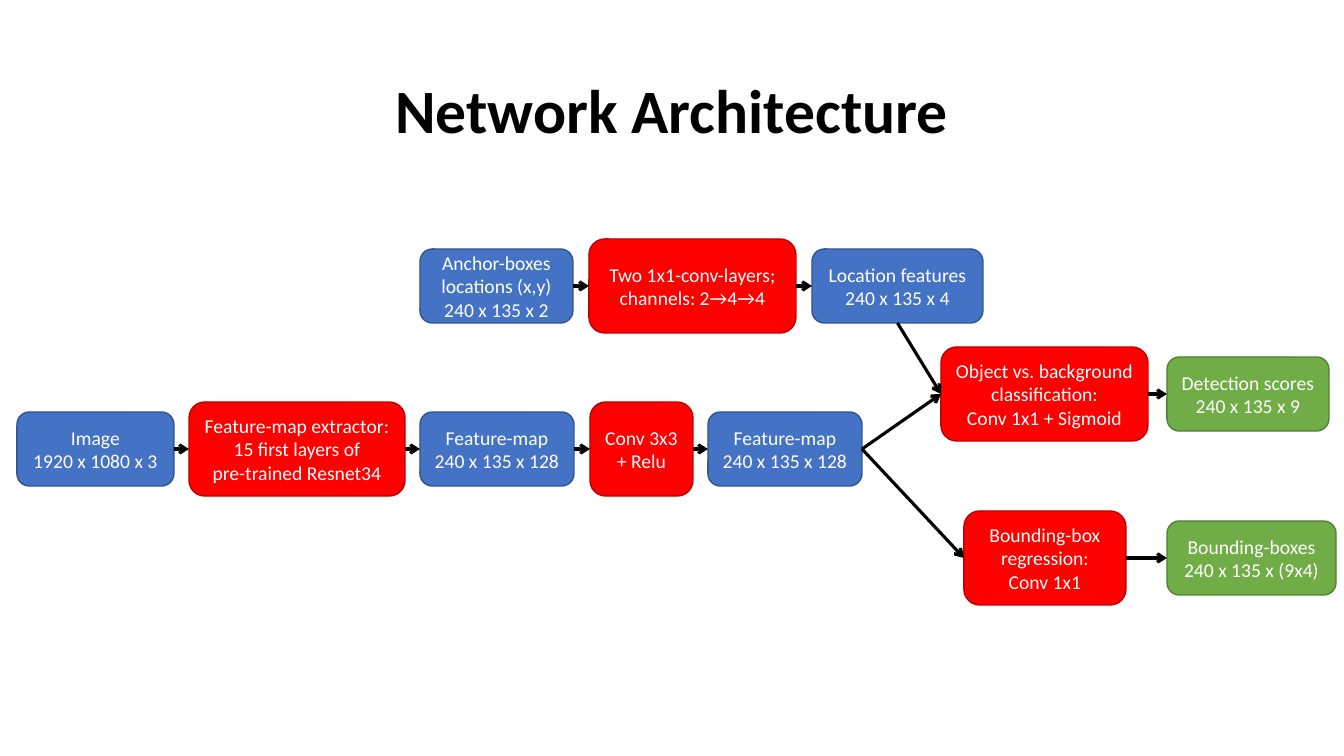
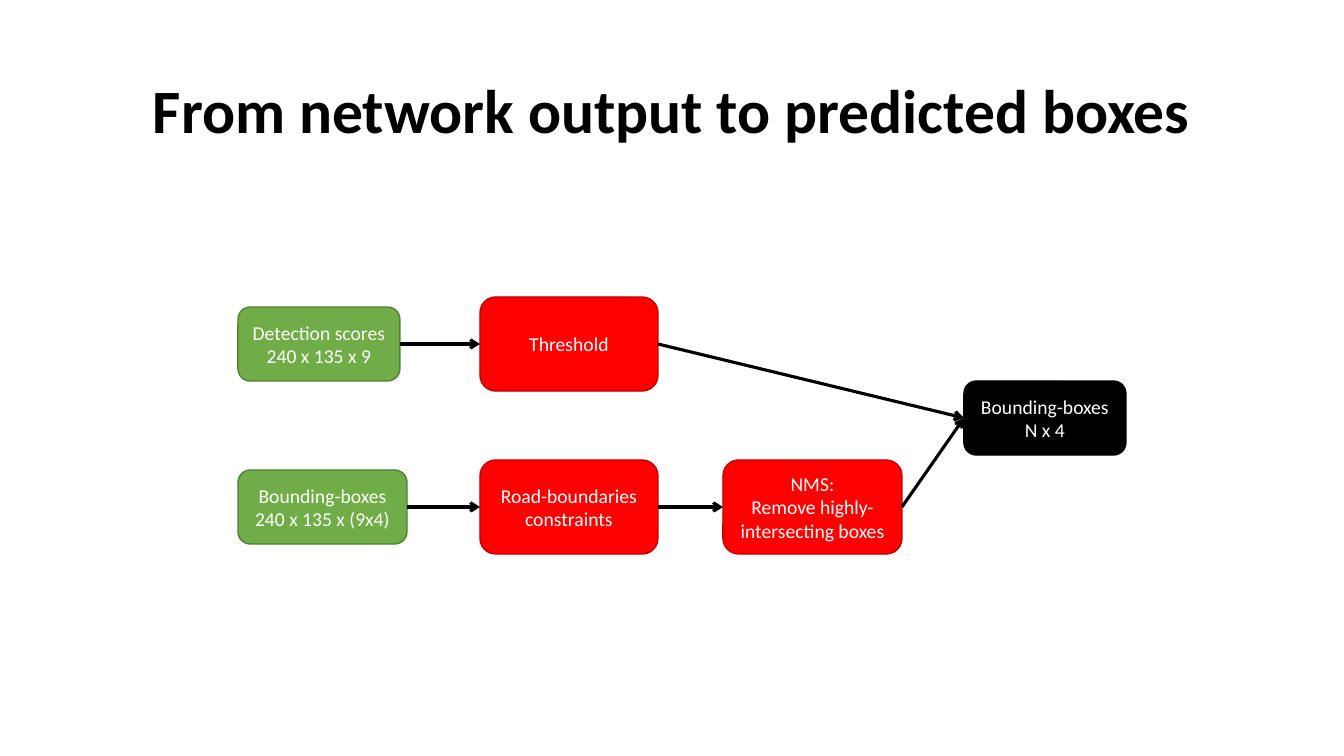
import dataclasses

import pptx
import pptx.dml.color
import pptx.enum.shapes
import pptx.enum.text
import pptx.oxml
import pptx.oxml.ns
import pptx.presentation
import pptx.shapes.base
import pptx.slide
import pptx.text.text
import pptx.util

RGBColor = pptx.dml.color.RGBColor
BLACK = RGBColor(0x00, 0x00, 0x00)
WHITE = RGBColor(0xFF, 0xFF, 0xFF)
BLUE = RGBColor(0x44, 0x72, 0xC4)
DARK_BLUE = RGBColor(0x32, 0x54, 0x91)
RED = RGBColor(0xFF, 0x00, 0x00)
DARK_RED = RGBColor(0xC0, 0x00, 0x00)
GREEN = RGBColor(0x70, 0xAD, 0x47)
DARK_GREEN = RGBColor(0x53, 0x80, 0x35)

FONT = "Calibri"
PIXELS_PER_INCH = 100.8
PAGE_WIDTH = 1344
PAGE_HEIGHT = 756
TITLE_LEFT = 92
TITLE_ONLY_LAYOUT = 5
TOP, LEFT, BOTTOM, RIGHT = range(4)


@dataclasses.dataclass(frozen=True)
class Style:
    fill: RGBColor
    outline: RGBColor
    height: int


DATA = Style(BLUE, DARK_BLUE, 74)
OPERATION = Style(RED, DARK_RED, 94)
OUTPUT = Style(GREEN, DARK_GREEN, 74)
RESULT = Style(BLACK, BLACK, 74)


@dataclasses.dataclass(frozen=True)
class Node:
    key: str
    style: Style
    left: int
    middle: int
    width: int
    lines: tuple[str, ...]


@dataclasses.dataclass(frozen=True)
class Arrow:
    source: str
    target: str
    exit_side: int = RIGHT


@dataclasses.dataclass(frozen=True)
class Diagram:
    title: str
    title_top: int
    title_height: int
    nodes: tuple[Node, ...]
    arrows: tuple[Arrow, ...]


def scores_node(left: int, middle: int) -> Node:
    return Node("scores", OUTPUT, left, middle, 162, ("Detection scores", "240 x 135 x 9"))


def boxes_node(left: int, middle: int) -> Node:
    return Node("boxes", OUTPUT, left, middle, 169, ("Bounding-boxes", "240 x 135 x (9x4)"))


def feature_map_node(key: str, left: int) -> Node:
    return Node(key, DATA, left, 449, 154, ("Feature-map", "240 x 135 x 128"))


NETWORK = Diagram(
    "Network Architecture",
    65,
    97,
    (
        Node("image", DATA, 17, 449, 157, ("Image", "1920 x 1080 x 3")),
        Node("extractor", OPERATION, 189, 449, 216,
             ("Feature-map extractor:", "15 first layers of", "pre-trained Resnet34")),
        feature_map_node("extracted map", 420),
        Node("convolution", OPERATION, 590, 449, 103, ("Conv 3x3 + Relu",)),
        feature_map_node("refined map", 708),
        Node("anchors", DATA, 420, 286, 153, ("Anchor-boxes locations (x,y)", "240 x 135 x 2")),
        Node("location layers", OPERATION, 589, 286, 207,
             ("Two 1x1-conv-layers;", "channels: 2→4→4")),
        Node("location features", DATA, 812, 286, 171, ("Location features", "240 x 135 x 4")),
        Node("classification", OPERATION, 941, 394, 207,
             ("Object vs. background classification:", "Conv 1x1 + Sigmoid")),
        Node("regression", OPERATION, 964, 558, 162, ("Bounding-box regression:", "Conv 1x1")),
        scores_node(1167, 394),
        boxes_node(1167, 558),
    ),
    (
        Arrow("image", "extractor"),
        Arrow("extractor", "extracted map"),
        Arrow("extracted map", "convolution"),
        Arrow("convolution", "refined map"),
        Arrow("anchors", "location layers"),
        Arrow("location layers", "location features"),
        Arrow("location features", "classification", BOTTOM),
        Arrow("refined map", "classification"),
        Arrow("refined map", "regression"),
        Arrow("classification", "scores"),
        Arrow("regression", "boxes"),
    ),
)

PREDICTION = Diagram(
    "From network output to predicted boxes",
    40,
    147,
    (
        scores_node(238, 344),
        boxes_node(238, 507),
        Node("threshold", OPERATION, 480, 344, 178, ("Threshold",)),
        Node("constraints", OPERATION, 480, 507, 178, ("Road-boundaries constraints",)),
        Node("suppression", OPERATION, 723, 507, 179,
             ("NMS:", "Remove highly-intersecting boxes")),
        Node("prediction", RESULT, 964, 418, 162, ("Bounding-boxes", "N x 4")),
    ),
    (
        Arrow("scores", "threshold"),
        Arrow("boxes", "constraints"),
        Arrow("constraints", "suppression"),
        Arrow("threshold", "prediction"),
        Arrow("suppression", "prediction"),
    ),
)


def px(pixels: float) -> pptx.util.Emu:
    return pptx.util.Emu(round(pixels * 914400 / PIXELS_PER_INCH))


def write_lines(frame: pptx.text.text.TextFrame, lines: tuple[str, ...], size: int,
                color: RGBColor, bold: bool = False, spacing: float = 1.0) -> None:
    frame.word_wrap = True
    frame.vertical_anchor = pptx.enum.text.MSO_ANCHOR.MIDDLE
    for index, line in enumerate(lines):
        para = frame.add_paragraph() if index else frame.paragraphs[0]
        para.alignment = pptx.enum.text.PP_ALIGN.CENTER
        para.line_spacing = spacing
        span = para.add_run()
        span.text = line
        span.font.name = FONT
        span.font.size = pptx.util.Pt(size)
        span.font.bold = bold
        span.font.color.rgb = color


def draw_title(page: pptx.slide.Slide, diagram: Diagram) -> None:
    title = page.shapes.title
    title.left = px(TITLE_LEFT)
    title.top = px(diagram.title_top)
    title.width = px(PAGE_WIDTH - 2 * TITLE_LEFT)
    title.height = px(diagram.title_height)
    write_lines(title.text_frame, (diagram.title,), 44, BLACK, bold=True, spacing=0.9)


def draw_node(page: pptx.slide.Slide, node: Node) -> pptx.shapes.base.BaseShape:
    box = page.shapes.add_shape(
        pptx.enum.shapes.MSO_SHAPE.ROUNDED_RECTANGLE,
        px(node.left), px(node.middle - node.style.height / 2),
        px(node.width), px(node.style.height),
    )
    box.shadow.inherit = False
    box.fill.solid()
    box.fill.fore_color.rgb = node.style.fill
    box.line.color.rgb = node.style.outline
    box.line.width = pptx.util.Pt(1)
    write_lines(box.text_frame, node.lines, 14, WHITE)
    return box


def draw_arrow(page: pptx.slide.Slide, arrow: Arrow,
               boxes: dict[str, pptx.shapes.base.BaseShape]) -> None:
    source, target = boxes[arrow.source], boxes[arrow.target]
    connector = page.shapes.add_connector(
        pptx.enum.shapes.MSO_CONNECTOR.STRAIGHT,
        source.left, source.top, target.left, target.top,
    )
    connector.begin_connect(source, arrow.exit_side)
    connector.end_connect(target, LEFT)
    connector.line.color.rgb = BLACK
    connector.line.width = pptx.util.Pt(2.25)
    namespace = pptx.oxml.ns.nsdecls("a")
    properties = connector.element.spPr
    outline = properties.find(pptx.oxml.ns.qn("a:ln"))
    outline.append(pptx.oxml.parse_xml(f'<a:tailEnd {namespace} type="arrow"/>'))
    properties.append(pptx.oxml.parse_xml(f"<a:effectLst {namespace}/>"))


def draw_diagram(deck: pptx.presentation.Presentation, diagram: Diagram) -> None:
    page = deck.slides.add_slide(deck.slide_layouts[TITLE_ONLY_LAYOUT])
    draw_title(page, diagram)
    boxes = {node.key: draw_node(page, node) for node in diagram.nodes}
    for arrow in diagram.arrows:
        draw_arrow(page, arrow, boxes)


def main() -> None:
    deck = pptx.Presentation()
    deck.slide_width = px(PAGE_WIDTH)
    deck.slide_height = px(PAGE_HEIGHT)
    for diagram in (NETWORK, PREDICTION):
        draw_diagram(deck, diagram)
    deck.save("out.pptx")


main()
